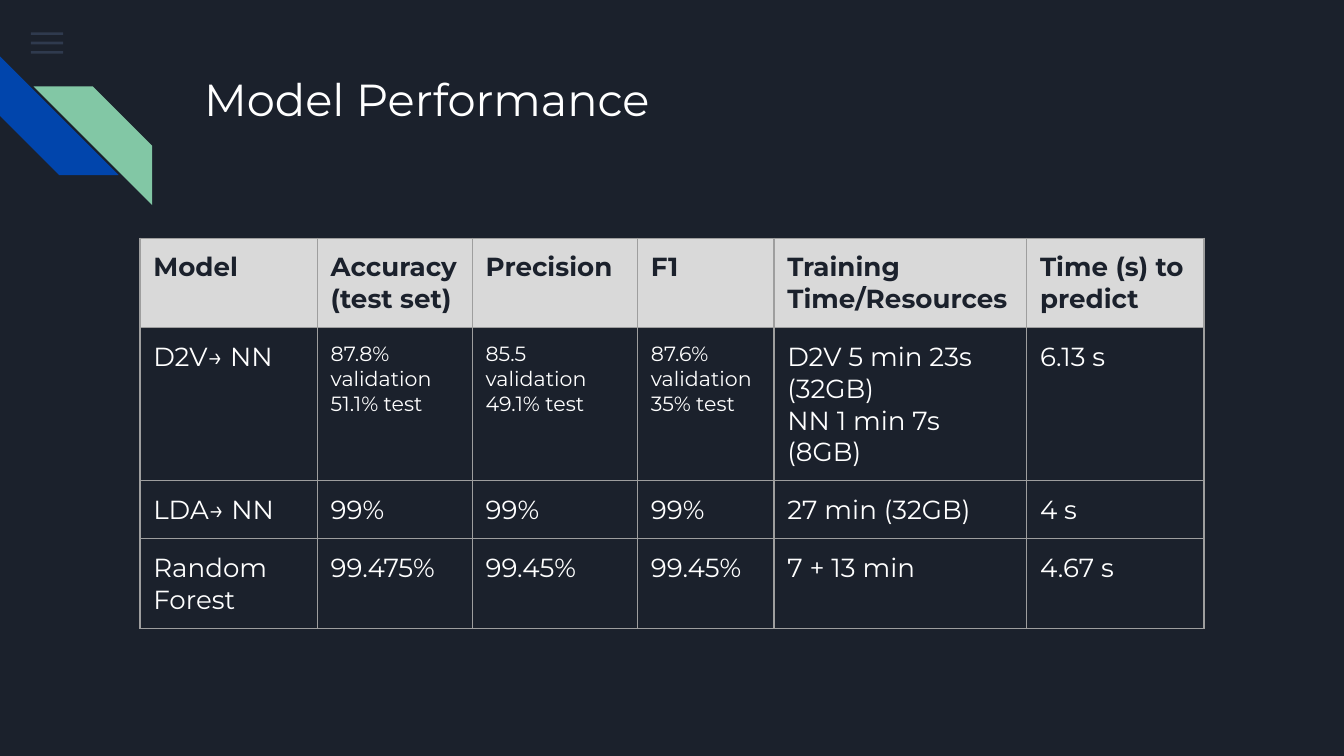
from lxml.etree import SubElement
from pptx import Presentation
from pptx.dml.color import RGBColor
from pptx.enum.shapes import MSO_SHAPE as Preset
from pptx.enum.text import MSO_ANCHOR as Anchor
from pptx.oxml import parse_xml
from pptx.oxml.ns import nsdecls, qn
from pptx.util import Inches, Pt

WIDTH = Inches(10)
HEIGHT = WIDTH * 9 // 16
FONT = "Montserrat"
COLORS = {
    "night": "1B212C", "slate": "55688B", "blue": "0145AC", "green": "82C7A5",
    "white": "FFFFFF", "header": "D9D9D9", "border": "9E9E9E",
}
COLUMN_SHARES = [13.2, 11.53, 12.3, 10.15, 18.8, 13.2]
ROW_SHARE = 7.47
RESULTS = [
    ["Model", "Accuracy\n(test set)", "Precision", "F1",
     "Training Time/Resources", "Time (s) to predict"],
    ["D2V→ NN", "87.8% validation\n51.1% test", "85.5 validation\n49.1% test",
     "87.6% validation\n35% test", "D2V 5 min 23s (32GB)\nNN 1 min 7s (8GB)", "6.13 s"],
    ["LDA→ NN", "99%", "99%", "99%", "27 min (32GB)", "4 s"],
    ["Random Forest", "99.475%", "99.45%", "99.45%", "7 + 13 min", "4.67 s"],
]


def color(name):
    """Return the palette colour as RGB."""
    return RGBColor.from_string(COLORS[name])


def across(percent):
    """Return a share of the slide's width."""
    return int(WIDTH * percent / 100)


def down(percent):
    """Return a share of the slide's height."""
    return int(HEIGHT * percent / 100)


def area(left, top, width, height):
    """Turn percentages of the slide into a position and size."""
    return across(left), down(top), across(width), down(height)


def write(frame, text, size, ink, bold=False):
    """Fill a text frame and format its runs."""
    frame.text = text
    for paragraph in frame.paragraphs:
        for run in paragraph.runs:
            run.font.name = FONT
            run.font.size = Pt(size)
            run.font.bold = bold
            run.font.color.rgb = color(ink)


def add_block(slide, preset, place, fill):
    """Add a flat preset shape without an outline."""
    block = slide.shapes.add_shape(preset, *area(*place))
    block.shadow.inherit = False
    block.fill.solid()
    block.fill.fore_color.rgb = color(fill)
    block.line.fill.background()
    return block


def add_menu_icon(slide):
    """Add three translucent bars."""
    for row in range(3):
        bar = add_block(slide, Preset.RECTANGLE, (2.3, 4.27 + 1.24 * row, 2.4, 0.36), "slate")
        tint = bar.fill._xPr.find(qn("a:solidFill"))[0]
        SubElement(tint, qn("a:alpha"), val="36000")


def add_stripes(slide):
    """Add the two diagonal corner stripes."""
    blue = add_block(slide, Preset.DIAGONAL_STRIPE, (0, 7.47, 8.83, 15.7), "blue")
    blue.rotation = 270
    green = add_block(slide, Preset.DIAGONAL_STRIPE, (2.5, 11.44, 8.83, 15.7), "green")
    green._element.spPr.find(qn("a:xfrm")).set("flipH", "1")


def add_title(slide, text):
    """Add the slide heading."""
    frame = slide.shapes.add_textbox(*area(14.2, 7.7, 77, 17.78)).text_frame
    frame.word_wrap = True
    frame.vertical_anchor = Anchor.TOP
    frame.margin_left = frame.margin_right = Inches(0.1)
    frame.margin_top = frame.margin_bottom = Inches(0.1)
    write(frame, text, 24, "white")


def add_borders(cell):
    """Draw thin lines on all sides of a cell."""
    properties = cell._tc.get_or_add_tcPr()
    for side in "LRTB":
        properties.append(parse_xml(
            f'<a:ln{side} {nsdecls("a")} w="{Pt(0.75)}"><a:solidFill>'
            f'<a:srgbClr val="{COLORS["border"]}"/></a:solidFill></a:ln{side}>'))


def style_cell(cell, text, size, is_header):
    """Write one result with its margins, borders and fill."""
    write(cell.text_frame, text, size, "night" if is_header else "white", is_header)
    cell.margin_left = cell.margin_right = Inches(0.1)
    cell.margin_top = cell.margin_bottom = Inches(0.1)
    add_borders(cell)
    if is_header:
        cell.fill.solid()
        cell.fill.fore_color.rgb = color("header")
    else:
        cell.fill.background()


def add_results(slide):
    """Add the table comparing the models."""
    place = area(10.41, 31.5, sum(COLUMN_SHARES), 52.05)
    holder = slide.shapes.add_table(len(RESULTS), len(COLUMN_SHARES), *place)
    table = holder.table
    table.first_row = table.horz_banding = False
    for column, share in zip(table.columns, COLUMN_SHARES):
        column.width = across(share)
    for r, results in enumerate(RESULTS):
        table.rows[r].height = down(ROW_SHARE)
        for c, text in enumerate(results):
            size = 11 if "validation" in text else 14
            style_cell(table.cell(r, c), text, size, r == 0)
    holder.height = place[3]


def main():
    """Build and save the model performance slide."""
    deck = Presentation()
    deck.slide_width, deck.slide_height = WIDTH, HEIGHT
    slide = deck.slides.add_slide(deck.slide_layouts[6])
    slide.background.fill.solid()
    slide.background.fill.fore_color.rgb = color("night")
    add_menu_icon(slide)
    add_stripes(slide)
    add_title(slide, "Model Performance")
    add_results(slide)
    deck.save("out.pptx")


if __name__ == "__main__":
    main()
